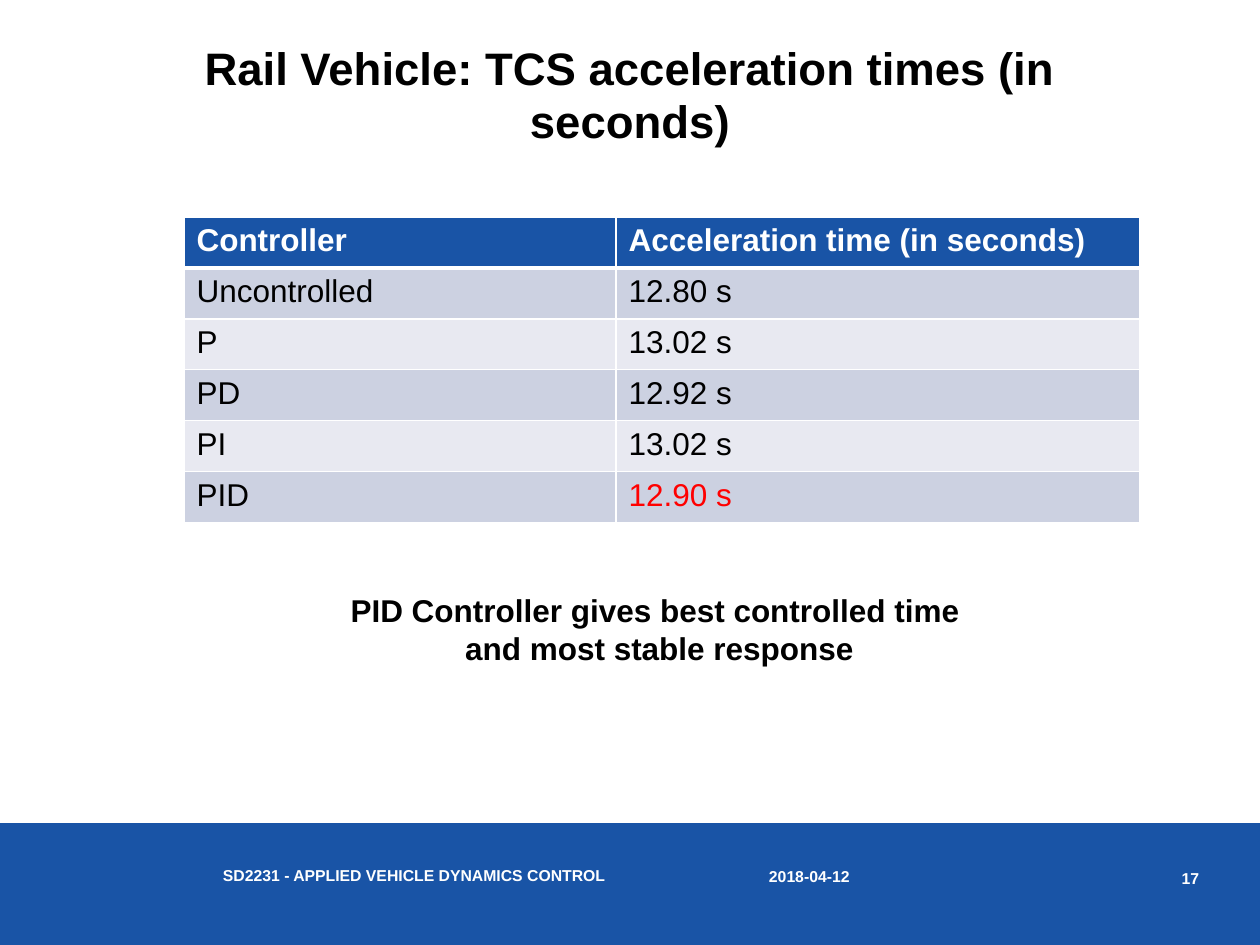
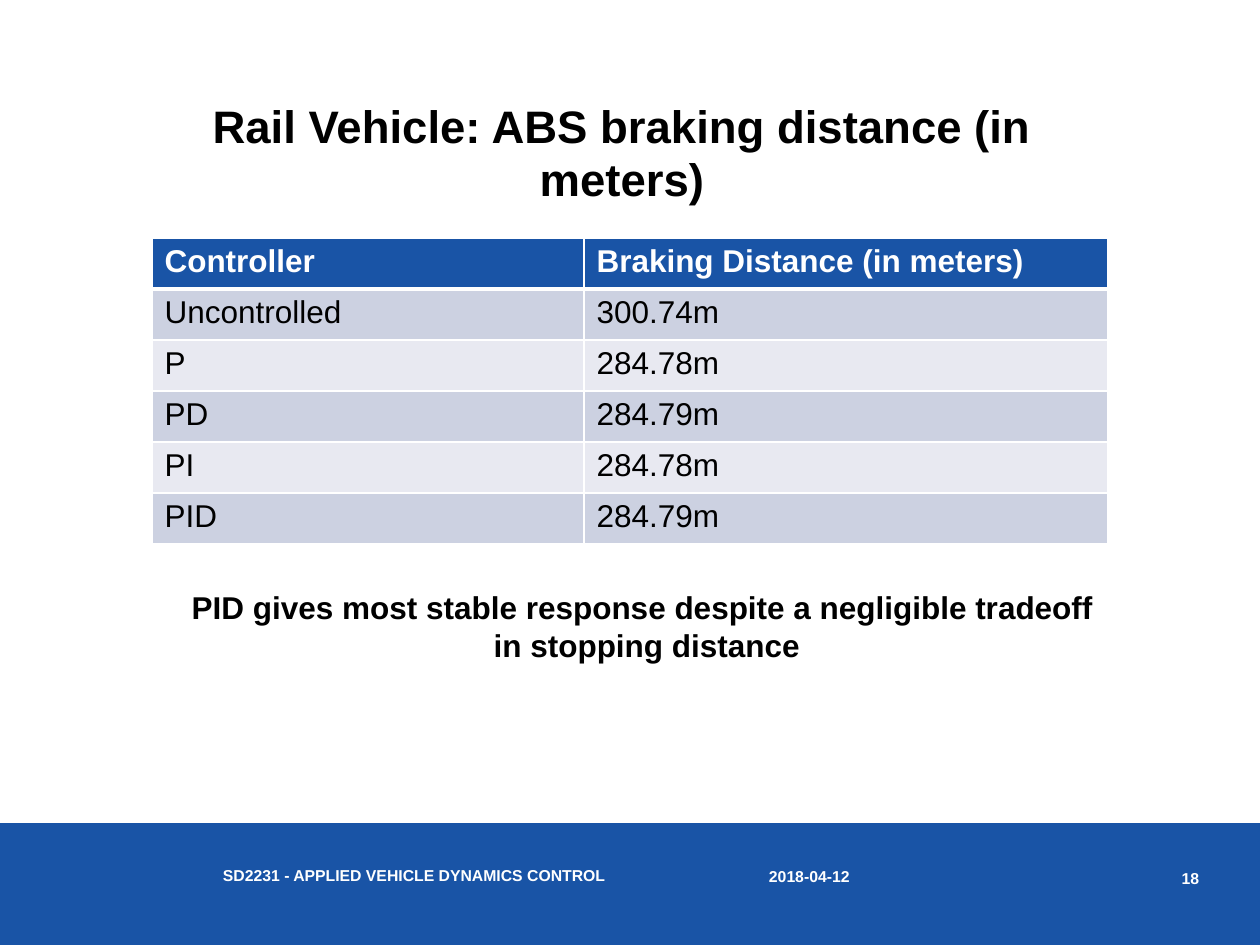
from dataclasses import dataclass

from lxml import etree
from pptx import Presentation
from pptx.dml.color import RGBColor
from pptx.enum.shapes import MSO_SHAPE
from pptx.enum.text import MSO_ANCHOR, MSO_AUTO_SIZE, PP_ALIGN
from pptx.oxml.ns import qn
from pptx.util import Emu, Pt

RECT = MSO_SHAPE.RECTANGLE
LEFT, CENTER, RIGHT = PP_ALIGN.LEFT, PP_ALIGN.CENTER, PP_ALIGN.RIGHT
TOP, MIDDLE = MSO_ANCHOR.TOP, MSO_ANCHOR.MIDDLE
GROW = MSO_AUTO_SIZE.SHAPE_TO_FIT_TEXT


@dataclass(frozen=True)
class Theme:
    font: str = "Arial"
    blue: str = "1954A6"
    white: str = "FFFFFF"
    black: str = "000000"
    red: str = "FF0000"
    bands: tuple = ("CCD1E1", "E8E9F1")
    title: int = 26
    body: int = 18
    foot: int = 9
    thin: int = 1
    thick: int = 3


THEME = Theme()

# Lengths in px, 126 to the inch
WIDE, HIGH = 1260, 945
BAND = (0, 823, WIDE, HIGH - 823)
COURSE = "SD2231 - APPLIED VEHICLE DYNAMICS CONTROL"
DATE = "2018-04-12"
COURSE_BOX = (223, 869, 399, 50)
DATE_BOX = (769, 867, 294, 50)
PAGE_BOX = (1126, 869, 73, 50)
TITLE_SIZE = (956, 92)
COLS = (432, 524)
ROW = 51

NAMES = ("Uncontrolled", "P", "PD", "PI", "PID")
SLIDES = [
    {
        "page": 17,
        "title": "Rail Vehicle: TCS acceleration times (in seconds)",
        "title_at": (152, 49),
        "head": "Acceleration time (in seconds)",
        "values": ("12.80 s", "13.02 s", "12.92 s", "13.02 s", "12.90 s"),
        "best": "PID",
        "table_at": (184, 217),
        "low_rows": {"P": 48},
        "note": ("PID Controller gives best controlled time ",
                 "and most stable response"),
        "note_box": (335, 585, 649, 89),
    },
    {
        "page": 18,
        "title": "Rail Vehicle: ABS braking distance (in meters)",
        "title_at": (144, 107),
        "head": "Braking Distance (in meters)",
        "values": ("300.74m", "284.78m", "284.79m", "284.78m", "284.79m"),
        "best": None,
        "table_at": (152, 238),
        "low_rows": {},
        "note": ("PID gives most stable response despite a negligible tradeoff",
                 " in stopping distance"),
        "note_box": (175, 582, 935, 89),
    },
]


def px(num):
    return Emu(round(num * 914400 / 126))


def style(para, size, color, bold=True, align=LEFT, lead=None):
    para.alignment = align
    if lead:
        para.line_spacing = Pt(lead)
    for run in para.runs:
        font = run.font
        font.name, font.size, font.bold = THEME.font, Pt(size), bold
        font.color.rgb = RGBColor.from_string(color)


def add_text(slide, box, text, size, color, align=LEFT, lead=None, anchor=TOP):
    """Add a wrapped text box without insets."""
    frame = slide.shapes.add_textbox(*map(px, box)).text_frame
    frame.margin_left = frame.margin_right = 0
    frame.margin_top = frame.margin_bottom = 0
    frame.word_wrap = True
    frame.vertical_anchor = anchor
    frame.text = text
    style(frame.paragraphs[0], size, color, align=align, lead=lead)


def add_note(slide, box, lines):
    frame = slide.shapes.add_textbox(*map(px, box)).text_frame
    frame.word_wrap = False
    frame.auto_size = GROW
    frame.text = "\n".join(lines)
    for para in frame.paragraphs:
        style(para, THEME.body, THEME.black, align=CENTER)


def add_footer(slide, page):
    band = slide.shapes.add_shape(RECT, *map(px, BAND))
    band.shadow.inherit = False
    band.fill.solid()
    band.fill.fore_color.rgb = RGBColor.from_string(THEME.blue)
    band.line.fill.background()
    add_text(slide, DATE_BOX, DATE, THEME.foot, THEME.white)
    add_text(slide, PAGE_BOX, str(page), THEME.foot, THEME.white, RIGHT)
    add_text(slide, COURSE_BOX, COURSE, THEME.foot, THEME.white, lead=9)


def set_edges(cell, top, bottom):
    """Draw white cell borders; call before the fill is set."""
    props = cell._tc.get_or_add_tcPr()
    edges = {"L": THEME.thin, "R": THEME.thin, "T": top, "B": bottom}
    for side, width in edges.items():
        line = etree.SubElement(props, qn(f"a:ln{side}"), w=str(Pt(width)))
        fill = etree.SubElement(line, qn("a:solidFill"))
        etree.SubElement(fill, qn("a:srgbClr"), val=THEME.white)


def add_grid(slide, data):
    rows = [("Controller", data["head"]), *zip(NAMES, data["values"])]
    highs = [data["low_rows"].get(name, ROW) for name, _ in rows]
    box = (*data["table_at"], sum(COLS), sum(highs))
    grid = slide.shapes.add_table(len(rows), len(COLS), *map(px, box)).table
    grid.horz_banding = False
    for col, width in zip(grid.columns, COLS):
        col.width = px(width)
    for r, (row, high) in enumerate(zip(rows, highs)):
        grid.rows[r].height = px(high)
        head = r == 0
        back = THEME.blue if head else THEME.bands[(r - 1) % 2]
        for c, text in enumerate(row):
            cell = grid.cell(r, c)
            set_edges(cell, THEME.thick if r == 1 else THEME.thin,
                      THEME.thick if head else THEME.thin)
            cell.fill.solid()
            cell.fill.fore_color.rgb = RGBColor.from_string(back)
            cell.text_frame.text = text
            color = THEME.white if head else THEME.black
            if c == 1 and row[0] == data["best"]:
                color = THEME.red
            style(cell.text_frame.paragraphs[0], THEME.body, color, head)


def main():
    deck = Presentation()
    deck.slide_width, deck.slide_height = px(WIDE), px(HIGH)
    for data in SLIDES:
        slide = deck.slides.add_slide(deck.slide_layouts[6])
        add_footer(slide, data["page"])
        add_text(slide, (*data["title_at"], *TITLE_SIZE), data["title"],
                 THEME.title, THEME.black, CENTER, 30, MIDDLE)
        add_grid(slide, data)
        add_note(slide, data["note_box"], data["note"])
    deck.save("out.pptx")


if __name__ == "__main__":
    main()
